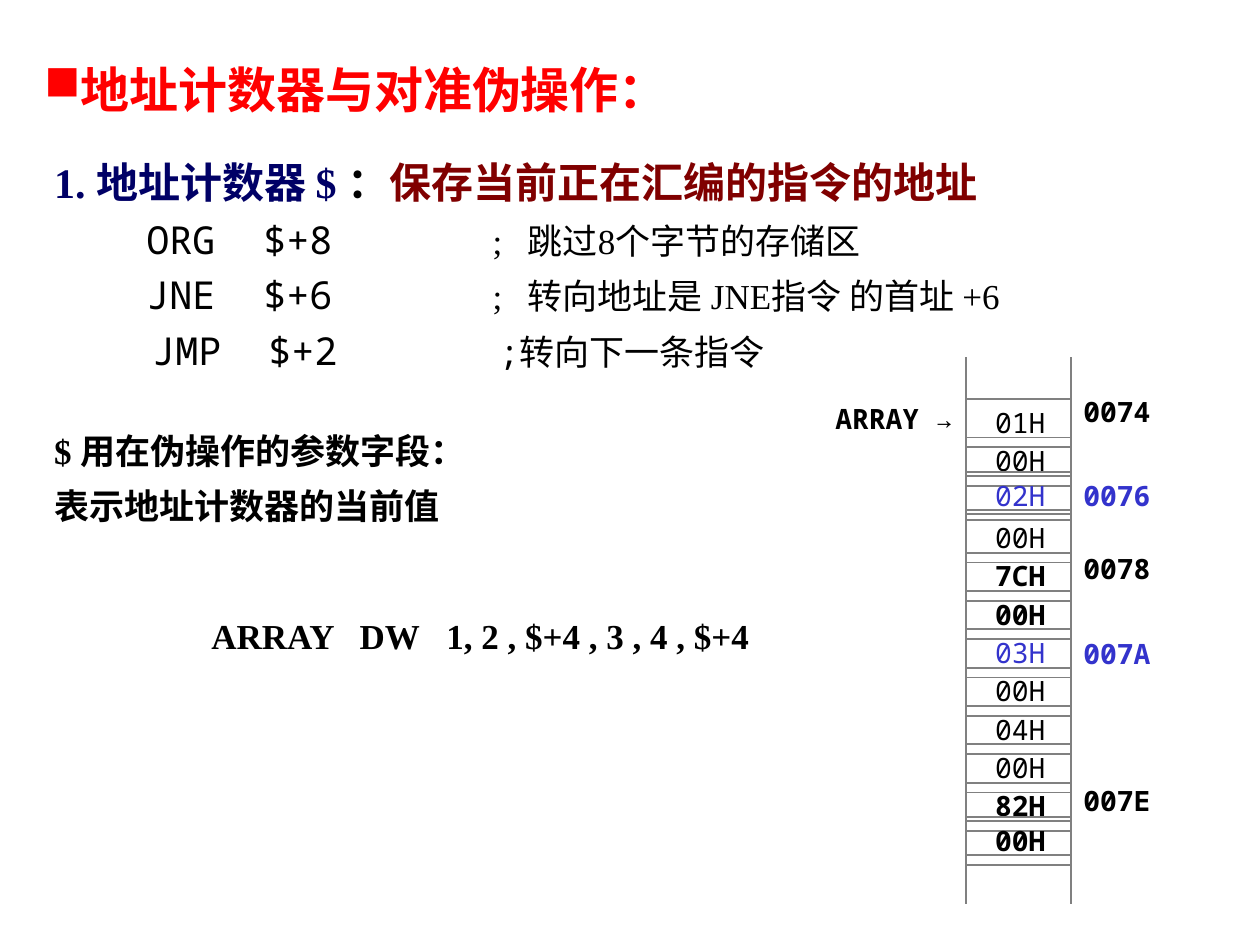
from lxml.etree import SubElement
from pptx import Presentation
from pptx.dml.color import RGBColor
from pptx.enum.shapes import MSO_CONNECTOR, MSO_SHAPE
from pptx.enum.text import MSO_ANCHOR, MSO_AUTO_SIZE, PP_ALIGN
from pptx.oxml.ns import qn
from pptx.util import Cm, Pt

SERIF, MONO = "Times New Roman", "Noto Sans Mono"
BLACK, RED, NAVY, MAROON, BLUE, GRAY = "000000", "FF0000", "000066", "800000", "3333CC", "808080"
MEMORY_LEFT, MEMORY_RIGHT, MEMORY_TOP = 19.47, 21.59, 8.05
CELL_STEP, CELL_WIDTH = 0.773, 2.12


def color(value):
    """Turn a hex string into a colour."""
    return RGBColor.from_string(value)


def style(size, name=SERIF, bold=False, ink=BLACK):
    """Describe the format of a run."""
    return {"size": Pt(size), "name": name, "bold": bold, "ink": ink}


def add_run(paragraph, text, look):
    """Append a formatted run to a paragraph."""
    run = paragraph.add_run()
    run.text = text
    for key, value in look.items():
        if key == "ink":
            run.font.color.rgb = color(value)
        else:
            setattr(run.font, key, value)


def set_tabs(paragraph, stops):
    """Give a paragraph left tab stops in centimetres."""
    tabs = SubElement(paragraph._p.get_or_add_pPr(), qn("a:tabLst"))
    for stop in stops:
        SubElement(tabs, qn("a:tab"), pos=str(int(Cm(stop))), algn="l")


def set_bullet(paragraph, mark, ink):
    """Put a coloured bullet directly before the paragraph."""
    properties = paragraph._p.get_or_add_pPr()
    properties.set("marL", "0")
    properties.set("indent", "0")
    bullet_color = SubElement(properties, qn("a:buClr"))
    SubElement(bullet_color, qn("a:srgbClr"), val=ink)
    SubElement(properties, qn("a:buChar"), char=mark)


def add_text(slide, left, top, width, height, runs=(), wrap=True):
    """Add a text box with one paragraph and return its frame."""
    frame = slide.shapes.add_textbox(Cm(left), Cm(top), Cm(width), Cm(height)).text_frame
    frame.word_wrap = wrap
    frame.auto_size = MSO_AUTO_SIZE.SHAPE_TO_FIT_TEXT
    for text, look in runs:
        add_run(frame.paragraphs[0], text, look)
    return frame


def add_title(slide):
    """Add the bulleted heading."""
    frame = add_text(slide, 0.64, 1.07, 13.16, 1.45, wrap=False)
    set_bullet(frame.paragraphs[0], "■", RED)
    add_run(frame.paragraphs[0], "地址计数器与对准伪操作：", style(28, bold=True, ink=RED))


def add_explanation(slide):
    """Add the text on the location counter with its code rows."""
    code, note, strong = style(22, MONO), style(20), style(20, bold=True)
    stops, shifted = (1.86, 4.22, 8.84, 9.55), (1.98, 4.32, 8.96)
    rows = [
        ((), 0, [("1. 地址计数器 $ ", style(24, bold=True, ink=NAVY)),
                 ("：", style(24, bold=True)),
                 ("保存当前正在汇编的指令的地址", style(24, bold=True, ink=MAROON))]),
        (stops, 0, [("\tORG\t$+8\t", code), (";\t跳过8个字节的存储区", note)]),
        (stops, 0, [("\tJNE\t$+6\t", code), (";\t转向地址是 JNE指令 的首址 +6", note)]),
        (shifted, 0, [("\tJMP\t$+2\t", code), (";转向下一条指令", style(20, MONO))]),
        ((), 27.5, [("$ 用在伪操作的参数字段：", strong)]),
        ((), 2.5, [("表示地址计数器的当前值", strong)]),
    ]
    frame = add_text(slide, 0.84, 2.74, 21.39, 8.08)
    frame.vertical_anchor = MSO_ANCHOR.MIDDLE
    for index, (tabs, before, runs) in enumerate(rows):
        paragraph = frame.add_paragraph() if index else frame.paragraphs[0]
        paragraph.line_spacing = 1.2
        if before:
            paragraph.space_before = Pt(before)
        if tabs:
            set_tabs(paragraph, tabs)
        for text, look in runs:
            add_run(paragraph, text, look)


def add_declaration(slide):
    """Add the array declaration."""
    frame = add_text(slide, 4.01, 12.27, 11.43, 1.09, wrap=False)
    set_tabs(frame.paragraphs[0], (2.99, 4.74))
    add_run(frame.paragraphs[0], "ARRAY\tDW\t1, 2 , $+4 , 3 , 4 , $+4", style(20, bold=True))


def add_frame(group, top, height):
    """Add an outlined memory rectangle to a group."""
    shape = group.shapes.add_shape(
        MSO_SHAPE.RECTANGLE, Cm(MEMORY_LEFT), Cm(top), Cm(CELL_WIDTH), Cm(height))
    shape.shadow.inherit = False
    shape.fill.background()
    shape.line.color.rgb = color(GRAY)
    shape.line.width = Pt(1)
    return shape


def add_cell(slide, top, text, look):
    """Add one memory byte as a group of two frames."""
    group = slide.shapes.add_group_shape()
    add_frame(group, top, 0.77)
    frame = add_frame(group, top, 0.97).text_frame
    settings = {"word_wrap": True, "auto_size": MSO_AUTO_SIZE.SHAPE_TO_FIT_TEXT,
                "vertical_anchor": MSO_ANCHOR.TOP, "margin_left": Cm(0.59)}
    for key, value in settings.items():
        setattr(frame, key, value)
    frame.paragraphs[0].alignment = PP_ALIGN.LEFT
    add_run(frame.paragraphs[0], text, look)


def add_edge(slide, left, top):
    """Add a short vertical line that continues the memory column."""
    line = slide.shapes.add_connector(
        MSO_CONNECTOR.STRAIGHT, Cm(left), Cm(top), Cm(left), Cm(top + 0.97))
    line.line.color.rgb = color(GRAY)
    line.line.width = Pt(1)
    SubElement(line._element.spPr, qn("a:effectLst"))


def add_memory(slide):
    """Add the memory column with its labels."""
    plain, strong = style(16, MONO), style(16, MONO, True)
    plain_blue, strong_blue = style(16, MONO, ink=BLUE), style(16, MONO, True, BLUE)
    looks = {"02H": plain_blue, "03H": plain_blue, "7CH": strong, "82H": strong}
    data = "01H 00H 02H 00H 7CH 00H 03H 00H 04H 00H 82H 00H".split()
    nudges = {2: -0.08, 11: -0.08}
    for index, text in enumerate(data):
        look = strong if index in (5, 11) else looks.get(text, plain)
        top = MEMORY_TOP + index * CELL_STEP + nudges.get(index, 0)
        add_cell(slide, top, text, look)
    for left in (MEMORY_LEFT, MEMORY_RIGHT):
        for top in (7.2, 17.25):
            add_edge(slide, left, top)
    add_text(slide, 16.59, 7.98, 3.3, 0.94, [("ARRAY →", strong)])
    addresses = [("0074", 7.82, strong), ("0076", 9.53, strong_blue), ("0078", 11, strong),
                 ("007A", 12.7, strong_blue), ("007E", 15.67, strong)]
    for text, top, look in addresses:
        add_text(slide, MEMORY_RIGHT, top, 2.34, 0.94, [(text, look)])


def main():
    """Build and save the slide."""
    presentation = Presentation()
    presentation.slide_width, presentation.slide_height = Cm(25.4), Cm(19.05)
    slide = presentation.slides.add_slide(presentation.slide_layouts[6])
    add_title(slide)
    add_explanation(slide)
    add_declaration(slide)
    add_memory(slide)
    presentation.save("out.pptx")


if __name__ == "__main__":
    main()
